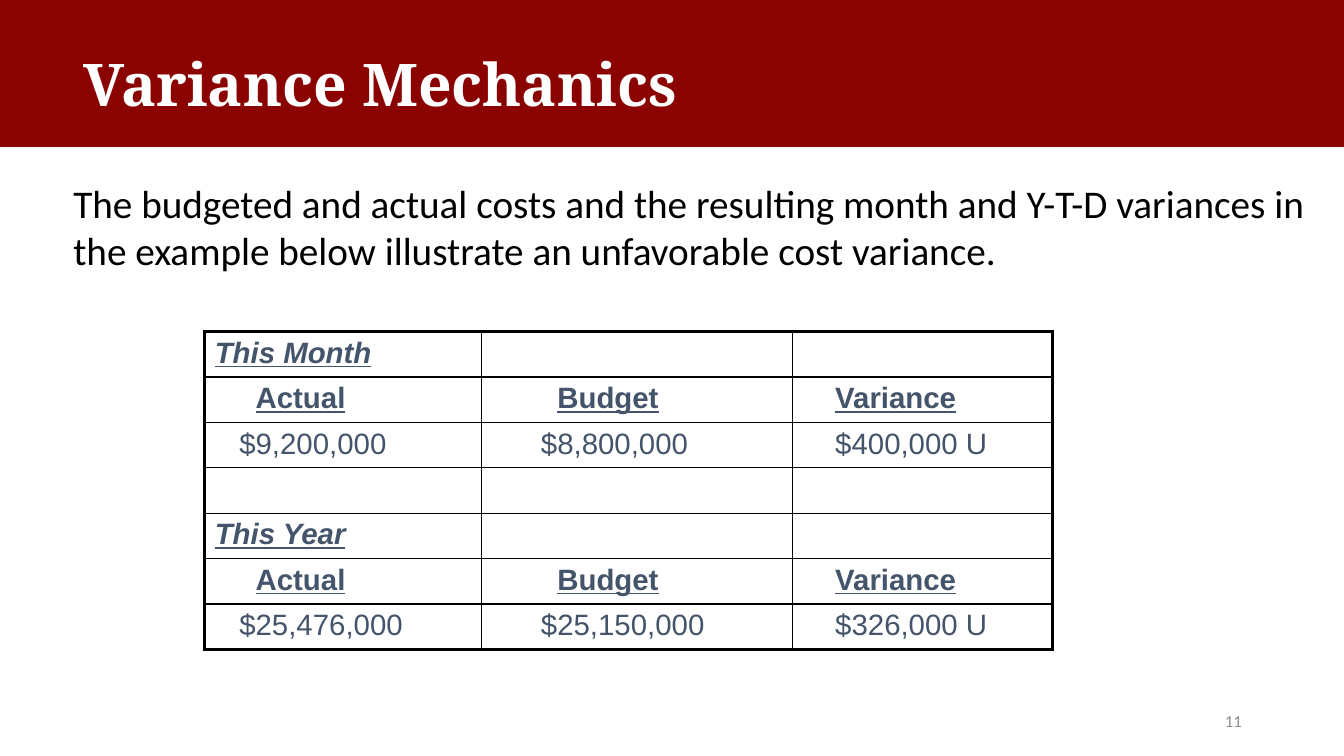
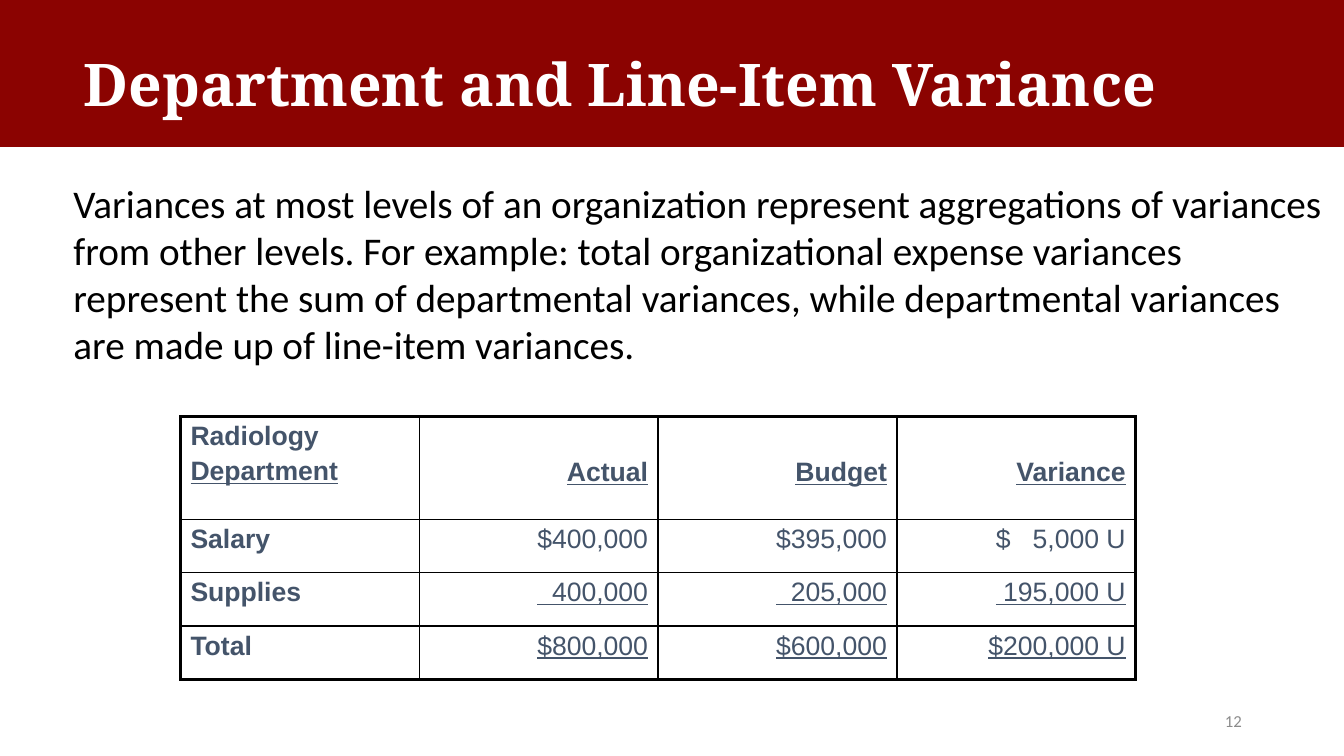
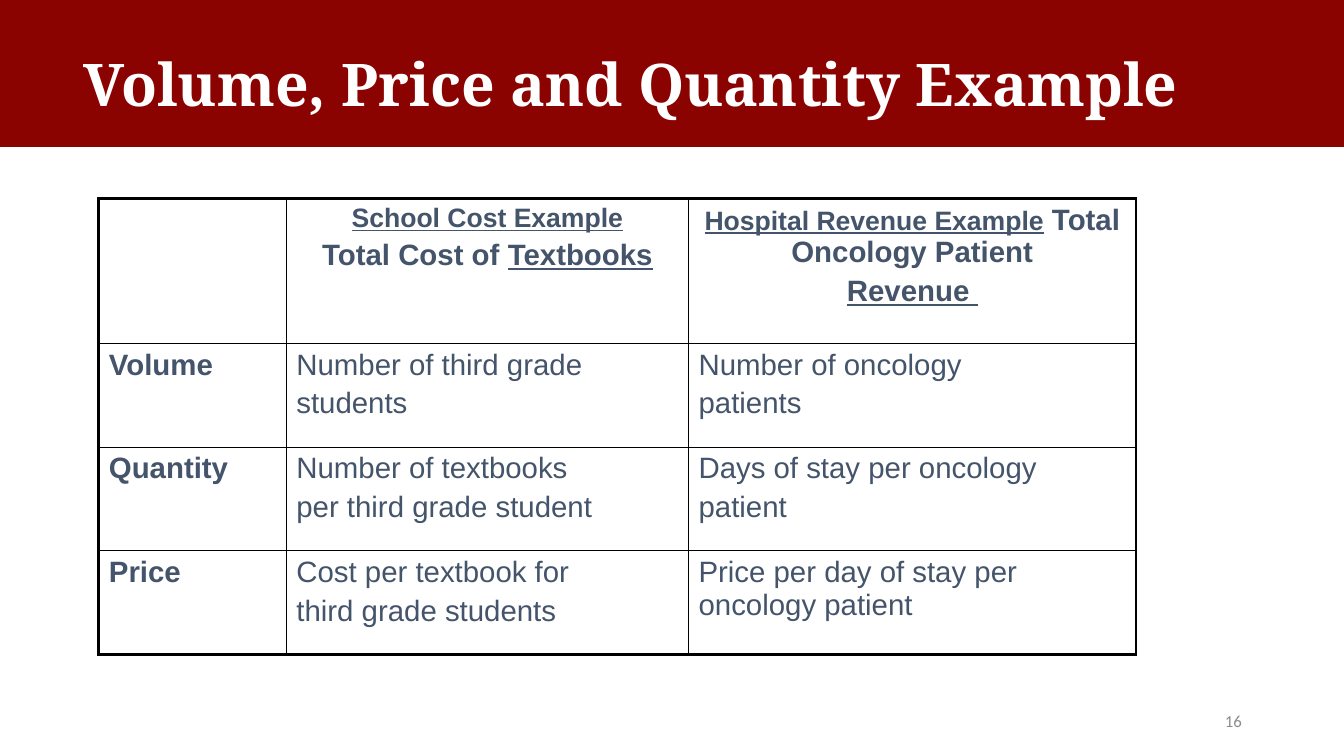
from dataclasses import dataclass, field

from lxml import etree
from pptx import Presentation
from pptx.dml.color import RGBColor
from pptx.enum.shapes import MSO_SHAPE
from pptx.enum.text import MSO_ANCHOR, MSO_AUTO_SIZE, PP_ALIGN
from pptx.oxml.ns import qn
from pptx.util import Pt

RECT = MSO_SHAPE.RECTANGLE
MIDDLE = MSO_ANCHOR.MIDDLE
NO_FIT = MSO_AUTO_SIZE.NONE
LEFT, CENTER, RIGHT = PP_ALIGN.LEFT, PP_ALIGN.CENTER, PP_ALIGN.RIGHT

COLORS = {"band": "8B0301", "title": "FFFFFF", "body": "000000",
          "cell": "44546A", "rule": "000000", "number": "8C8C8C"}
TITLE = {"name": "Noto Serif", "size": Pt(42), "bold": True}
BODY = {"name": "Calibri", "size": Pt(28)}
NUMBER = {"name": "Calibri", "size": Pt(12)}
CELL = {"name": "Arial", "bold": False, "italic": False, "underline": False}

BOLD = {"bold": True}
LINED = {"underline": True}
HEAD = BOLD | LINED
PERIOD = HEAD | {"italic": True}

WIDTH, HEIGHT, BAND = 960, 540, 104.4
PAD_X, PAD_Y = 7.2, 3.6
OUTER, INNER = 2.25, 1


@dataclass
class Cell:
    """Lines are strings, or lists of (text, format) runs."""
    lines: list = field(default_factory=list)
    style: dict = field(default_factory=dict)
    align: PP_ALIGN = LEFT
    indent: float = 0
    drop: float = 0


def color(name):
    return RGBColor.from_string(COLORS[name])


def edge(props, side, width):
    line = etree.SubElement(props, qn(f"a:ln{side}"), w=str(Pt(width)))
    fill = etree.SubElement(line, qn("a:solidFill"))
    etree.SubElement(fill, qn("a:srgbClr"), val=COLORS["rule"])


class Deck:
    def __init__(self):
        self.show = Presentation()
        self.show.slide_width, self.show.slide_height = Pt(WIDTH), Pt(HEIGHT)
        self.slide = None

    def put(self, para, text, style, tint):
        run = para.add_run()
        run.text = text
        for key, value in style.items():
            setattr(run.font, key, value)
        run.font.color.rgb = color(tint)

    def start(self, title, number):
        """Add a slide with the shared band, title and number."""
        self.slide = self.show.slides.add_slide(self.show.slide_layouts[5])
        self.band()
        self.title(title)
        self.text(str(number), (678.24, 500.4, 216, 28.8), NUMBER, "number",
                  RIGHT, MIDDLE)

    def band(self):
        shapes = self.slide.shapes
        band = shapes.add_shape(RECT, 0, 0, Pt(WIDTH), Pt(BAND))
        band.shadow.inherit = False
        band.fill.solid()
        band.fill.fore_color.rgb = color("band")
        band.line.color.rgb = color("band")
        band.line.width = Pt(1)
        shapes.title.element.addprevious(band.element)

    def title(self, text):
        box = self.slide.shapes.title
        box.left, box.top, box.width, box.height = map(
            Pt, (52.56, 10.08, 828, BAND))
        frame = box.text_frame
        frame.auto_size = NO_FIT
        frame.vertical_anchor = MIDDLE
        para = frame.paragraphs[0]
        para.alignment = LEFT
        para.line_spacing = 0.9
        self.put(para, text, TITLE, "title")

    def text(self, text, box, style, tint, align=LEFT, anchor=None):
        frame = self.slide.shapes.add_textbox(*map(Pt, box)).text_frame
        frame.word_wrap = True
        if anchor is not None:
            frame.vertical_anchor = anchor
        para = frame.paragraphs[0]
        para.alignment = align
        self.put(para, text, style, tint)

    def body(self, text, height):
        self.text(text, (45.36, 124.56, 907.2, height), BODY, "body")

    def table(self, left, top, cols, rows, size, cells):
        table = self.slide.shapes.add_table(
            len(rows), len(cols), Pt(left), Pt(top),
            Pt(sum(cols)), Pt(sum(rows))).table
        table.first_row = table.horz_banding = False
        for col, width in zip(table.columns, cols):
            col.width = Pt(width)
        for row, height in zip(table.rows, rows):
            row.height = Pt(height)
        for r, line in enumerate(cells):
            for c, data in enumerate(line):
                cell = table.cell(r, c)
                ends = {"L": c == 0, "R": c == len(cols) - 1,
                        "T": r == 0, "B": r == len(rows) - 1}
                self.frame(cell, ends)
                self.fill(cell, data, size)

    def frame(self, cell, ends):
        """Draw heavy rules on the table's outer edges, thin ones inside."""
        props = cell._tc.get_or_add_tcPr()
        for side, last in ends.items():
            edge(props, side, OUTER if last else INNER)
        cell.fill.background()

    def fill(self, cell, data, size):
        cell.margin_left = Pt(PAD_X + data.indent)
        cell.margin_right = Pt(PAD_X)
        cell.margin_top = Pt(PAD_Y + data.drop)
        cell.margin_bottom = Pt(PAD_Y)
        frame = cell.text_frame
        for i, line in enumerate(data.lines):
            para = frame.add_paragraph() if i else frame.paragraphs[0]
            para.alignment = data.align
            if i:
                para.space_before = Pt(0.2 * size)
            runs = [(line, data.style)] if isinstance(line, str) else line
            for text, style in runs:
                look = CELL | {"size": Pt(size)} | style
                self.put(para, text, look, "cell")


def period(name, sums):
    """Three table rows: period name, column heads and sums."""
    heads = zip(("Actual", "Budget", "Variance"), (29.2, 46.7, 23.4))
    return [
        [Cell([name], PERIOD), Cell(), Cell()],
        [Cell([text], HEAD, indent=gap) for text, gap in heads],
        [Cell([text], indent=gap)
         for text, gap in zip(sums, (17.5, 35, 23.4))],
    ]


def costs(name, sums, style):
    return [Cell([name], BOLD)] + [Cell([s], style, RIGHT) for s in sums]


def factor(name, school, clinic):
    return [Cell([name], BOLD), Cell(school), Cell(clinic)]


def main():
    deck = Deck()

    deck.start("Variance Mechanics", 11)
    deck.body("The budgeted and actual costs and the resulting month and "
              "Y-T-D variances in the example below illustrate an "
              "unfavorable cost variance.", 74.9)
    deck.table(
        146.2, 236.9, (198, 221.8, 185.8), [32.4] * 7, 21,
        period("This Month", ("$9,200,000", "$8,800,000", "$400,000 U"))
        + [[Cell(), Cell(), Cell()]]
        + period("This Year", ("$25,476,000", "$25,150,000", "$326,000 U")))

    deck.start("Department and Line-Item Variance", 12)
    deck.body("Variances at most levels of an organization represent "
              "aggregations of variances from other levels. For example: "
              "total organizational expense variances represent the sum of "
              "departmental variances, while departmental variances are made "
              "up of line-item variances.", 143.3)
    heads = [Cell(["Radiology", [("Department", HEAD)]], BOLD)]
    heads += [Cell([text], HEAD, RIGHT, drop=25.6)
              for text in ("Actual", "Budget", "Variance")]
    deck.table(
        128.9, 297.4, [170.6] * 4, [73.4] + [38.2] * 3, 19,
        [heads,
         costs("Salary", ("$400,000", "$395,000", "$   5,000 U"), {}),
         costs("Supplies", ("  400,000", "  205,000", " 195,000 U"), LINED),
         costs("Total", ("$800,000", "$600,000", "$200,000 U"), LINED)])

    deck.start("Volume, Price and Quantity Example", 16)
    small = HEAD | {"size": Pt(19)}
    school = [[("School Cost Example", small)],
              [("Total Cost of ", BOLD), ("Textbooks", HEAD)]]
    clinic = [[("Hospital Revenue Example", small),
               (" Total Oncology Patient", BOLD)],
              [("Revenue ", HEAD)]]
    deck.table(
        70.6, 141.8, (133.9, 287.3, 319.7), [103.7] + [74] * 3, 21,
        [[Cell(), Cell(school, align=CENTER), Cell(clinic, align=CENTER)],
         factor("Volume", ["Number of third grade", "students"],
                ["Number of oncology", "patients"]),
         factor("Quantity", ["Number of textbooks", "per third grade student"],
                ["Days of stay per oncology", "patient"]),
         factor("Price", ["Cost per textbook for", "third grade students"],
                ["Price per day of stay per oncology patient"])])

    deck.show.save("out.pptx")


if __name__ == "__main__":
    main()
